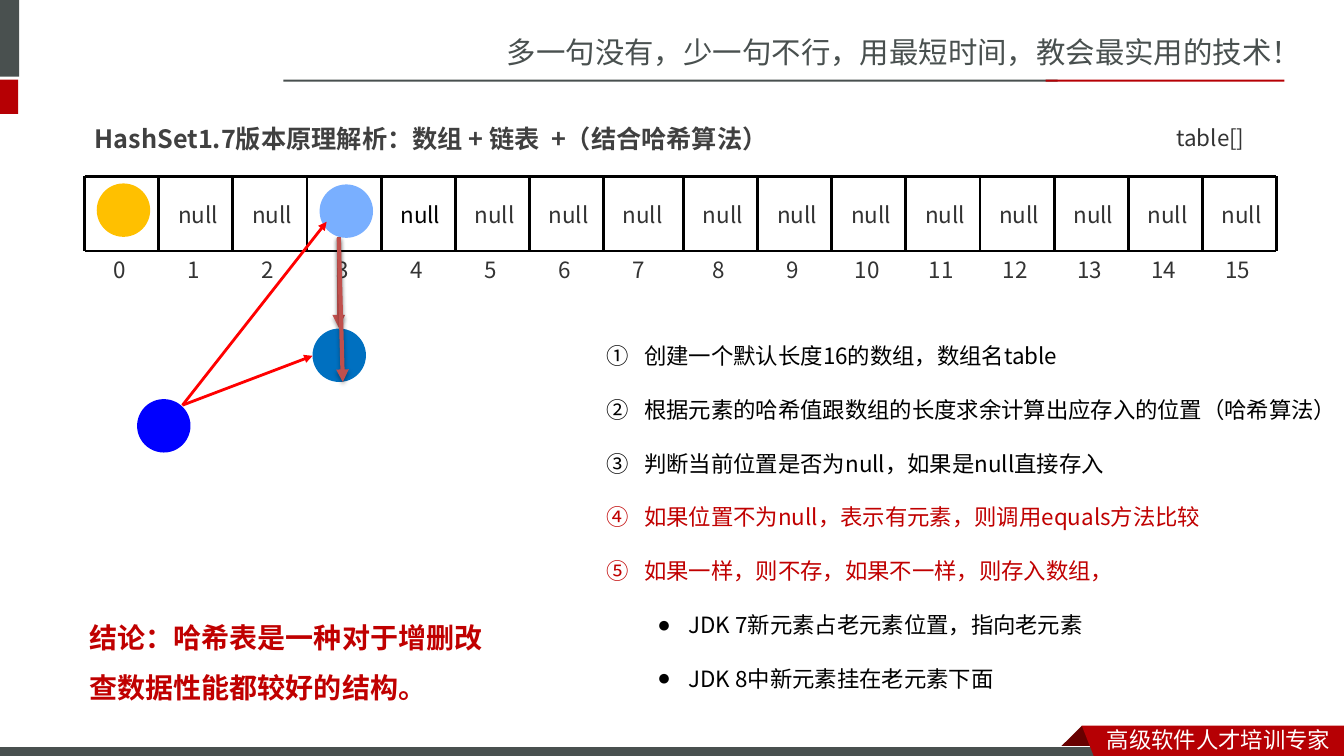
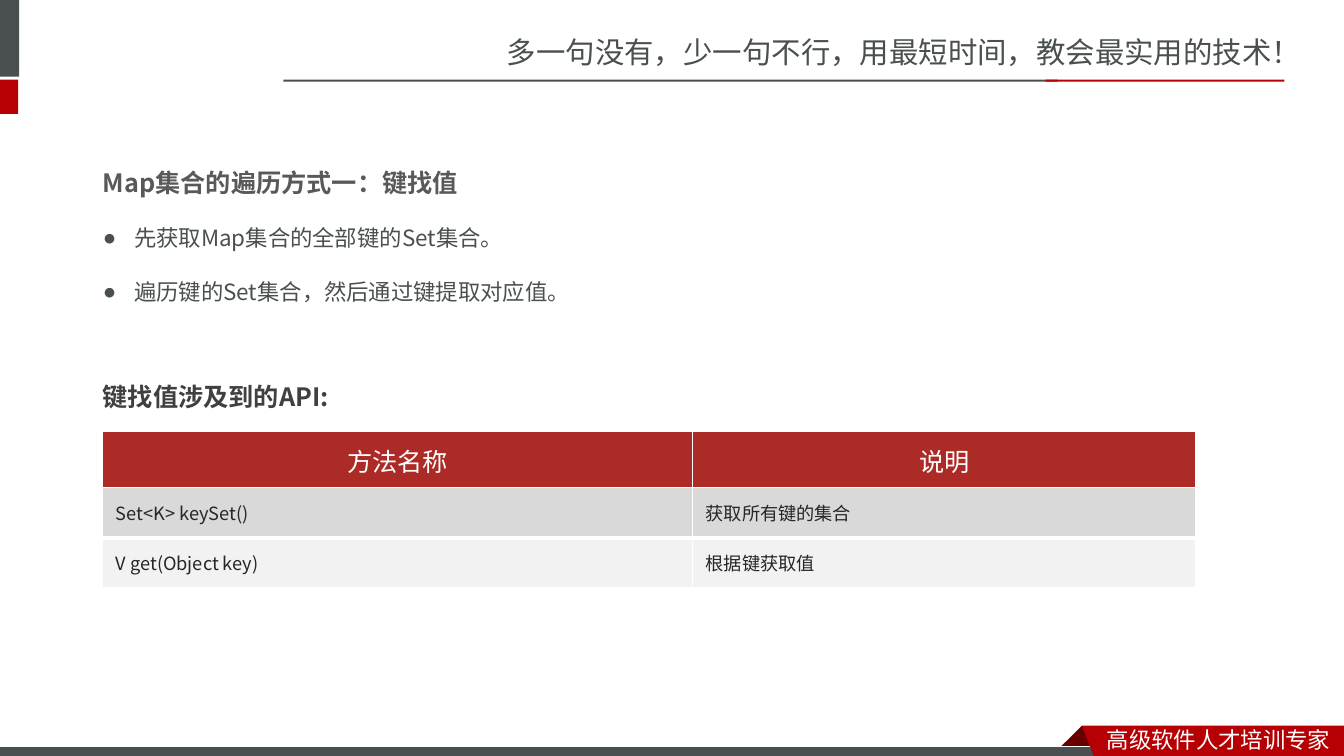
from dataclasses import dataclass
from lxml import etree
from pptx import Presentation
from pptx.dml import color as dml
from pptx.enum import shapes, text
from pptx.oxml import ns
from pptx.util import Inches, Pt


@dataclass(frozen=True)
class Theme:
    sans: str = "Noto Sans CJK SC"
    body: str = "Noto Sans CJK JP"
    table: str = "Lato"
    slate: str = "49504F"
    crimson: str = "B60004"
    maroon: str = "680000"
    white: str = "FFFFFF"
    black: str = "000000"
    ink: str = "333333"
    title: str = "404040"
    heading: str = "595959"
    accent: str = "C00000"
    pointer: str = "FF0000"
    chain: str = "C0504D"
    amber: str = "FFC000"
    sky: str = "79AFFF"
    blue: str = "0000FF"
    ocean: str = "0070C0"
    header: str = "AD2B26"
    cell: str = "262626"
    bands: tuple = ("D9D9D9", "F2F2F2")
    slogan_size: int = 21
    conclusion_size: int = 20
    title_size: int = 18
    text_size: int = 16
    cell_size: int = 13


theme = Theme()
rgb = dml.RGBColor.from_string
qn = ns.qn


def write(box, words, font=theme.sans, size=theme.text_size, color=theme.ink, bold=False,
          align=text.PP_ALIGN.LEFT, anchor=text.MSO_ANCHOR.TOP, spacing=1.0, wrap=True,
          bullet=None, margin=0, hang=0, level=0):
    frame = box.text_frame
    para = frame.add_paragraph() if frame.text else frame.paragraphs[0]
    frame.word_wrap = wrap
    frame.auto_size = text.MSO_AUTO_SIZE.NONE
    frame.vertical_anchor = anchor
    para.alignment = align
    para.level = level
    para.line_spacing = spacing
    para.space_before = para.space_after = Pt(0)
    props = para._p.get_or_add_pPr()
    props.set("marL", str(Inches(margin)))
    props.set("indent", str(-Inches(hang)))
    if bullet == "number":
        etree.SubElement(props, qn("a:buAutoNum"), type="circleNumDbPlain")
    elif bullet:
        etree.SubElement(props, qn("a:buChar"), char=bullet)
    else:
        etree.SubElement(props, qn("a:buNone"))
    span = para.add_run()
    span.text = words
    span.font.name = font
    span.font.size = Pt(size)
    span.font.bold = bold
    span.font.color.rgb = rgb(color)
    etree.SubElement(span._r.get_or_add_rPr(), qn("a:ea"), typeface=font)


def connect(page, start, end, color=theme.black, width=2, arrow=False, shadow=False):
    line = page.shapes.add_connector(
        shapes.MSO_CONNECTOR.STRAIGHT, *map(Inches, start), *map(Inches, end))
    line.line.color.rgb = rgb(color)
    line.line.width = Pt(width)
    props = line.element.spPr
    if arrow:
        etree.SubElement(props.find(qn("a:ln")), qn("a:tailEnd"), type="triangle")
    effects = etree.SubElement(props, qn("a:effectLst"))
    if shadow:
        outer = etree.SubElement(effects, qn("a:outerShdw"), blurRad=str(Pt(3.1)),
                                 dist=str(Pt(1.8)), dir="5400000", rotWithShape="0")
        tint = etree.SubElement(outer, qn("a:srgbClr"), val=theme.black)
        etree.SubElement(tint, qn("a:alpha"), val="35000")


deck = Presentation()
deck.slide_width, deck.slide_height = Inches(13.33), Inches(7.5)
layout = deck.slide_layouts[1]
for mark in list(layout.placeholders)[2:]:
    layout.shapes.element.remove(mark.element)
hash_page = deck.slides.add_slide(layout)
map_page = deck.slides.add_slide(layout)

shared = []
for left, top, width, height, fill in (
    (-0.06, 0, 0.25, 0.76, theme.slate),
    (-0.06, 0.79, 0.24, 0.34, theme.crimson),
    (2.81, 0.79, 7.68, 0.02, theme.slate),
    (10.37, 0.79, 2.37, 0.02, theme.crimson),
    (-0.01, 7.41, 11, 0.12, theme.slate),
):
    bar = hash_page.shapes.add_shape(
        shapes.MSO_SHAPE.RECTANGLE, *map(Inches, (left, top, width, height)))
    bar.fill.solid()
    bar.fill.fore_color.rgb = rgb(fill)
    bar.line.fill.background()
    shared.append(bar)
footer_bar = shared.pop()
footer_bar.line.color.rgb = rgb(theme.white)
footer_bar.line.width = Pt(0.75)

ribbon = []
for fill, corners in (
    (theme.maroon, [(10.73, 7.2), (10.95, 7.42), (10.94, 7.43), (10.52, 7.43), (10.51, 7.42)]),
    (theme.crimson, [(10.73, 7.2), (13.33, 7.2), (13.33, 7.54), (10.86, 7.53)]),
):
    points = [(Inches(x), Inches(y)) for x, y in corners]
    outline = hash_page.shapes.build_freeform(*points[0])
    outline.add_line_segments(points[1:], close=True)
    piece = outline.convert_to_shape()
    piece.fill.solid()
    piece.fill.fore_color.rgb = rgb(fill)
    piece.line.fill.background()
    ribbon.append(piece)
fold, banner = ribbon
shared += [fold, footer_bar, banner]
for part in shared:
    part.shadow.inherit = False

for place, words, size, color in (
    ((4.93, 0.29, 8.4, 0.47), "多一句没有，少一句不行，用最短时间，教会最实用的技术！",
     theme.slogan_size, theme.slate),
    ((10.88, 7.15, 2.45, 0.37), "高级软件人才培训专家", theme.text_size, theme.white),
):
    box = hash_page.shapes.add_textbox(*map(Inches, place))
    write(box, words, size=size, color=color)
    shared.append(box)
for part in shared:
    layout.shapes.element.append(part.element)

for page, title_place, body_place, words, color, spacing in (
    (hash_page, (0.84, 1.02, 7.36, 0.51), (5.92, 3.08, 7.53, 3.9),
     "HashSet1.7版本原理解析：数组 + 链表  +（结合哈希算法）", theme.title, 1.5),
    (map_page, (0.92, 1.31, 6.66, 0.63), (0.92, 1.94, 10.39, 1.11),
     "Map集合的遍历方式一：键找值", theme.heading, 2.0),
):
    for holder, place in zip(page.placeholders, (title_place, body_place)):
        holder.left, holder.top, holder.width, holder.height = map(Inches, place)
    write(page.shapes.title, words, font=theme.body, size=theme.title_size,
          color=color, bold=True, spacing=spacing)

steps = hash_page.placeholders[1]
for words, color in (
    ("创建一个默认长度16的数组，数组名table", theme.black),
    ("根据元素的哈希值跟数组的长度求余计算出应存入的位置（哈希算法）", theme.black),
    ("判断当前位置是否为null，如果是null直接存入", theme.black),
    ("如果位置不为null，表示有元素，则调用equals方法比较", theme.accent),
    ("如果一样，则不存，如果不一样，则存入数组，", theme.accent),
):
    write(steps, words, font=theme.body, color=color, spacing=2.0,
          bullet="number", margin=0.37, hang=0.37)
for words in ("JDK 7新元素占老元素位置，指向老元素", "JDK 8中新元素挂在老元素下面"):
    write(steps, words, font=theme.body, color=theme.black, spacing=2.0,
          bullet="●", margin=0.81, hang=0.31, level=1)

slots, pitch, array_left, array_top, array_bottom = 16, 0.735, 0.84, 1.75, 2.49
edges = [array_left + pitch * i + (0.06 if i > 7 else 0) for i in range(slots + 1)]
for y in (array_top, array_bottom):
    connect(hash_page, (edges[0], y), (edges[-1], y))
for x in edges:
    connect(hash_page, (x, array_top), (x, array_bottom))
filled = (0, 3)
for slot, x in enumerate(edges[:-1]):
    labels = [(str(slot), x + 0.12, 2.49, 0.46, theme.ink)]
    if slot not in filled:
        labels.append(("null", x + 0.09, 1.95, 0.6, theme.black if slot == 4 else theme.ink))
    for words, left, top, width, color in labels:
        box = hash_page.shapes.add_textbox(*map(Inches, (left, top, width, 0.37)))
        write(box, words, color=color, align=text.PP_ALIGN.CENTER, wrap=False)

array_name = hash_page.shapes.add_textbox(*map(Inches, (11.57, 1.18, 0.89, 0.37)))
write(array_name, "table[]", wrap=False)

connect(hash_page, (3.36, 2.35), (3.36, 3.25), theme.chain, 3, arrow=True, shadow=True)
for left, top, fill in (
    (0.96, 1.82, theme.amber),
    (3.17, 1.83, theme.sky),
    (1.36, 3.96, theme.blue),
    (3.1, 3.26, theme.ocean),
):
    node = hash_page.shapes.add_shape(
        shapes.MSO_SHAPE.OVAL, *map(Inches, (left, top, 0.53, 0.53)))
    node.shadow.inherit = False
    node.fill.solid()
    node.fill.fore_color.rgb = rgb(fill)
    node.line.fill.background()
for end in ((3.1, 3.53), (3.24, 2.2)):
    connect(hash_page, (1.81, 4.02), end, theme.pointer, arrow=True)
connect(hash_page, (3.36, 2.36), (3.4, 3.79), theme.chain, 3, arrow=True, shadow=True)

conclusion = hash_page.shapes.add_textbox(*map(Inches, (0.79, 5.94, 4.23, 1.06)))
write(conclusion, "结论：哈希表是一种对于增删改查数据性能都较好的结构。", font=theme.body,
      size=theme.conclusion_size, color=theme.accent, bold=True, spacing=1.5)

for words in ("先获取Map集合的全部键的Set集合。", "遍历键的Set集合，然后通过键提取对应值。"):
    write(map_page.placeholders[1], words, font=theme.body, color=theme.slate, spacing=2.0,
          anchor=text.MSO_ANCHOR.MIDDLE, bullet="●", margin=0.31, hang=0.31)
api_heading = map_page.shapes.add_textbox(*map(Inches, (0.92, 3.43, 5.12, 0.63)))
write(api_heading, "键找值涉及到的API:", font=theme.body, size=theme.title_size,
      color=theme.title, bold=True, spacing=2.0)

head_format = dict(font=theme.table, size=theme.title_size, color=theme.white,
                   align=text.PP_ALIGN.CENTER, spacing=Pt(24))
cell_format = dict(size=theme.cell_size, color=theme.cell)
for top, height, fill, insets, rules, style, row in (
    (4.28, 0.57, theme.header, (0.1, 0.05), (1, 3), head_format, ("方法名称", "说明")),
    (4.84, 0.49, theme.bands[0], (0.13, 0.07), (1, 1), cell_format,
     ("Set<K> keySet()", "获取所有键的集合")),
    (5.34, 0.49, theme.bands[1], (0.13, 0.07), (3, 1), cell_format,
     ("V get(Object key)", "根据键获取值")),
):
    grid = map_page.shapes.add_table(
        1, len(row), *map(Inches, (1.02, top, 10.84, height))).table
    for column, width in zip(grid.columns, (5.85, 4.99)):
        column.width = Inches(width)
    for cell, words in zip(grid.iter_cells(), row):
        cell.vertical_anchor = text.MSO_ANCHOR.MIDDLE
        cell.margin_left = cell.margin_right = Inches(insets[0])
        cell.margin_top = cell.margin_bottom = Inches(insets[1])
        cell.fill.solid()
        cell.fill.fore_color.rgb = rgb(fill)
        write(cell, words, **style)
        props = cell._tc.get_or_add_tcPr()
        for i, (name, width) in enumerate(zip(("lnL", "lnR", "lnT", "lnB"), (1, 1, *rules))):
            border = etree.Element(qn("a:" + name), w=str(Pt(width)))
            paint = etree.SubElement(border, qn("a:solidFill"))
            etree.SubElement(paint, qn("a:srgbClr"), val=theme.white)
            props.insert(i, border)

deck.save("out.pptx")
